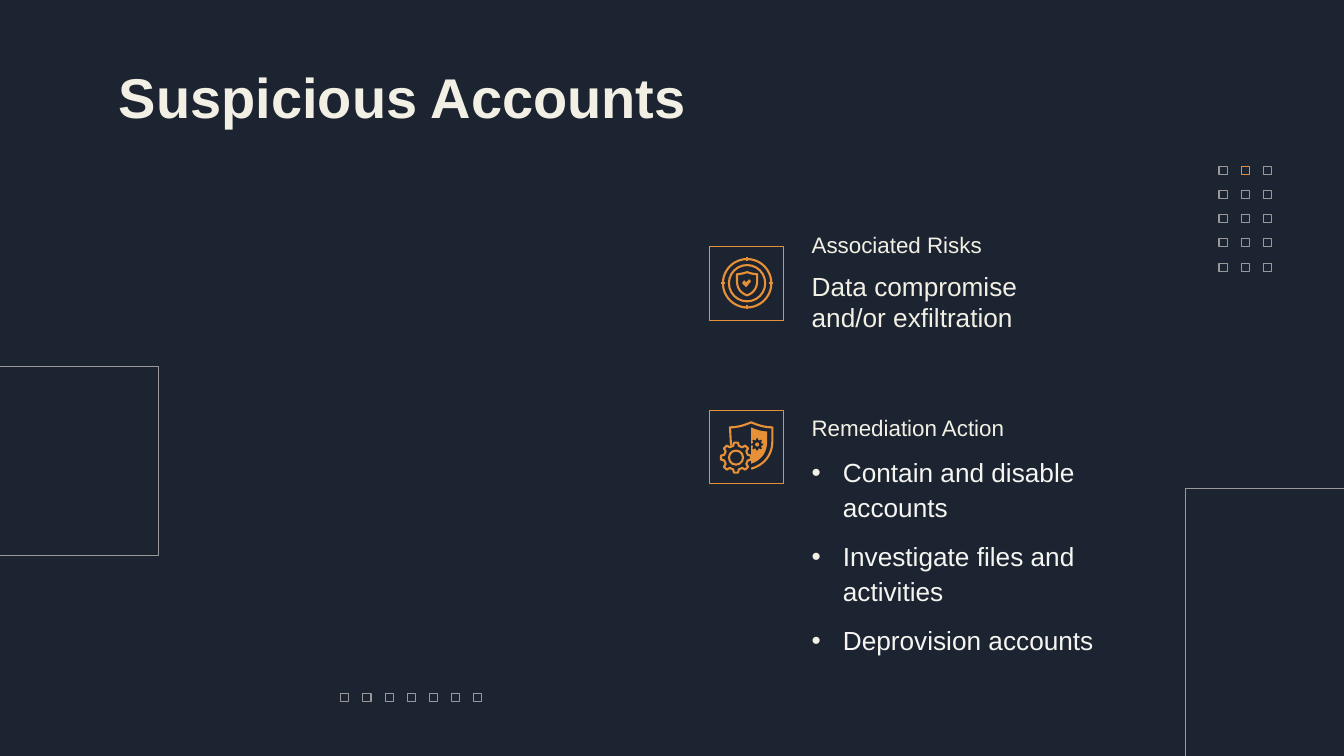
"""Build the Suspicious Accounts slide with its risk and remediation panels."""
import math
from dataclasses import dataclass

import pptx
import pptx.dml.color
import pptx.enum.shapes
import pptx.enum.text
import pptx.oxml.ns
import pptx.util
from lxml import etree
from pptx.util import Inches, Pt

NAVY, ORANGE, GREY, CREAM, WHITE = "1D2431", "E69138", "999999", "F2F0E4", "F5F6F2"
RECTANGLE = pptx.enum.shapes.MSO_SHAPE.RECTANGLE
OVAL = pptx.enum.shapes.MSO_SHAPE.OVAL
TOP = pptx.enum.text.MSO_ANCHOR.TOP
BOTTOM = pptx.enum.text.MSO_ANCHOR.BOTTOM
STROKE = 1.5
Point = tuple[float, float]


@dataclass
class Box:
    left: float
    top: float
    width: float
    height: float


@dataclass
class TextBlock:
    box: Box
    lines: list[str]
    size: float
    color: str = CREAM
    anchor: int = TOP
    bulleted: bool = False


FRAMES = [
    (Box(11.76, 4.85, 3.33, 3.33), GREY),
    (Box(-0.3, 3.64, 1.87, 1.87), GREY),
    (Box(7.04, 2.45, 0.73, 0.73), ORANGE),
    (Box(7.04, 4.07, 0.73, 0.73), ORANGE),
]
TITLE = TextBlock(Box(1.05, 0.49, 11.23, 0.84), ["Suspicious Accounts"], 40)
BLOCKS = [
    TextBlock(Box(7.92, 2.55, 2.88, 0.97), ["Data compromise and/or exfiltration"], 18.7),
    TextBlock(
        Box(7.92, 4.36, 3.66, 0.97),
        ["Contain and disable accounts", "Investigate files and activities", "Deprovision accounts"],
        18.7, WHITE, bulleted=True,
    ),
    TextBlock(Box(7.92, 1.72, 2.88, 0.97), ["Associated Risks"], 16, anchor=BOTTOM),
    TextBlock(Box(7.92, 3.95, 2.88, 0.55), ["Remediation Action"], 16, anchor=BOTTOM),
]


def rgb(color: str) -> pptx.dml.color.RGBColor:
    return pptx.dml.color.RGBColor.from_string(color)


def place(shape, box: Box) -> None:
    shape.left, shape.top = Inches(box.left), Inches(box.top)
    shape.width, shape.height = Inches(box.width), Inches(box.height)


def paint(shape, fill: str | None, line: str | None, width: float = 0.75) -> None:
    shape.shadow.inherit = False
    if fill:
        shape.fill.solid()
        shape.fill.fore_color.rgb = rgb(fill)
    else:
        shape.fill.background()
    if line:
        shape.line.color.rgb = rgb(line)
        shape.line.width = Pt(width)
    else:
        shape.line.fill.background()


def add_preset(slide, preset: int, box: Box, fill: str | None, line: str | None, width: float = 0.75) -> None:
    shape = slide.shapes.add_shape(
        preset, Inches(box.left), Inches(box.top), Inches(box.width), Inches(box.height)
    )
    paint(shape, fill, line, width)


def add_circle(slide, center: Point, radius: float, fill: str | None, line: str | None) -> None:
    box = Box(center[0] - radius, center[1] - radius, 2 * radius, 2 * radius)
    add_preset(slide, OVAL, box, fill, line, STROKE)


def add_outline(slide, points: list[Point], fill: str | None, line: str | None, close: bool = True) -> None:
    vertices = [(Inches(x), Inches(y)) for x, y in points]
    builder = slide.shapes.build_freeform(*vertices[0])
    builder.add_line_segments(vertices[1:], close=close)
    paint(builder.convert_to_shape(), fill, line, STROKE)


def add_stroke(slide, start: Point, end: Point) -> None:
    connector = slide.shapes.add_connector(
        pptx.enum.shapes.MSO_CONNECTOR.STRAIGHT, *(Inches(value) for value in start + end)
    )
    connector.line.color.rgb = rgb(ORANGE)
    connector.line.width = Pt(STROKE)
    etree.SubElement(connector._element.spPr, pptx.oxml.ns.qn("a:effectLst"))


def curve(start: Point, first: Point, second: Point, end: Point, steps: int = 12) -> list[Point]:
    def blend(axis: int, t: float) -> float:
        u = 1 - t
        return (u**3 * start[axis] + 3 * u * u * t * first[axis]
                + 3 * u * t * t * second[axis] + t**3 * end[axis])

    return [(blend(0, i / steps), blend(1, i / steps)) for i in range(steps + 1)]


def half_shield(tip: Point, width: float, shoulder: float, side: float, bottom: float) -> list[Point]:
    x, y = tip
    edge = x + width
    top = curve(tip, (x + width / 3, y + shoulder * 0.6), (x + width * 0.65, y + shoulder), (edge, y + shoulder))
    belly = curve((edge, side), (edge, side + (bottom - side) * 0.5),
                  (x + width * 0.6, side + (bottom - side) * 0.87), (x, bottom))
    return top + belly


def gear(center: Point, outer: float, inner: float, teeth: int = 8) -> list[Point]:
    points = []
    for tooth in range(teeth):
        for offset, radius in ((-0.3, inner), (-0.17, outer), (0.17, outer), (0.3, inner)):
            angle = math.tau * (tooth + offset) / teeth
            points.append((center[0] + radius * math.cos(angle), center[1] + radius * math.sin(angle)))
    return points


def add_target_icon(slide) -> None:
    center = x, y = 7.41, 2.81
    for radius in (0.24, 0.18):
        add_circle(slide, center, radius, None, ORANGE)
    for dx, dy in ((0, -1), (1, 0), (0, 1), (-1, 0)):
        add_stroke(slide, (x + 0.22 * dx, y + 0.22 * dy), (x + 0.26 * dx, y + 0.26 * dy))
    right = half_shield((x, 2.7), 0.1, 0.02, 2.79, 2.93)
    left = [(2 * x - px, py) for px, py in reversed(right)]
    add_outline(slide, right + left, None, ORANGE)
    check = [(7.43, 2.77), (7.4, 2.8), (7.38, 2.78), (7.36, 2.81), (7.4, 2.85), (7.45, 2.79)]
    add_outline(slide, check, ORANGE, None)


def add_shield_icon(slide) -> None:
    right = half_shield((7.45, 4.19), 0.21, 0.05, 4.38, 4.65)
    top_left = [(2 * 7.45 - px, py) for px, py in reversed(right[:13])]
    add_outline(slide, [(7.25, 4.42)] + top_left + right, None, ORANGE, close=False)
    half = half_shield((7.45, 4.24), 0.16, 0.04, 4.38, 4.6)
    add_outline(slide, half, ORANGE, None)
    add_outline(slide, gear((7.51, 4.41), 0.06, 0.045), NAVY, None)
    add_circle(slide, (7.51, 4.41), 0.02, ORANGE, None)
    add_outline(slide, gear((7.3, 4.54), 0.15, 0.12), NAVY, ORANGE)
    add_circle(slide, (7.3, 4.54), 0.07, None, ORANGE)


def add_dots(slide, left: float, top: float, columns: int, rows: int, accent: tuple[int, int] | None = None) -> None:
    for row in range(rows):
        for column in range(columns):
            color = ORANGE if (row, column) == accent else GREY
            box = Box(left + 0.22 * column, top + 0.24 * row, 0.08, 0.08)
            add_preset(slide, RECTANGLE, box, None, color)


def write(shape, block: TextBlock, bold: bool = False) -> None:
    place(shape, block.box)
    frame = shape.text_frame
    frame.word_wrap = True
    frame.auto_size = pptx.enum.text.MSO_AUTO_SIZE.NONE
    frame.vertical_anchor = block.anchor
    frame.margin_left = frame.margin_right = frame.margin_top = frame.margin_bottom = Inches(0.13)
    frame.text = "\n".join(block.lines)
    for paragraph in frame.paragraphs:
        paragraph.alignment = pptx.enum.text.PP_ALIGN.LEFT
        font = paragraph.font
        font.name, font.size, font.bold = "Arial", Pt(block.size), bold
        font.color.rgb = rgb(block.color)
        if block.bulleted:
            paragraph.line_spacing, paragraph.space_before = Pt(25.2), Pt(9.7)
            add_bullet(paragraph)


def add_bullet(paragraph) -> None:
    properties = paragraph._p.get_or_add_pPr()
    properties.set("marL", str(Inches(0.31)))
    properties.set("indent", str(-Inches(0.31)))
    qn = pptx.oxml.ns.qn
    bullet_color = etree.Element(qn("a:buClr"))
    etree.SubElement(bullet_color, qn("a:srgbClr"), val=CREAM)
    bullet_font = etree.Element(qn("a:buFont"), typeface="Arial")
    bullet = etree.Element(qn("a:buChar"), char="•")
    default_run = properties.find(qn("a:defRPr"))
    for element in (bullet_color, bullet_font, bullet):
        default_run.addprevious(element)


def main() -> None:
    presentation = pptx.Presentation()
    presentation.slide_width, presentation.slide_height = Inches(13.33), Inches(7.5)
    slide = presentation.slides.add_slide(presentation.slide_layouts.get_by_name("Title Only"))
    slide.background.fill.solid()
    slide.background.fill.fore_color.rgb = rgb(NAVY)
    for box, color in FRAMES:
        add_preset(slide, RECTANGLE, box, None, color)
    add_dots(slide, 12.09, 1.65, 3, 5, accent=(0, 1))
    add_dots(slide, 3.38, 6.88, 7, 1)
    write(slide.shapes.title, TITLE, bold=True)
    for block in BLOCKS:
        write(slide.shapes.add_textbox(0, 0, 0, 0), block)
    add_target_icon(slide)
    add_shield_icon(slide)
    presentation.save("out.pptx")


if __name__ == "__main__":
    main()
